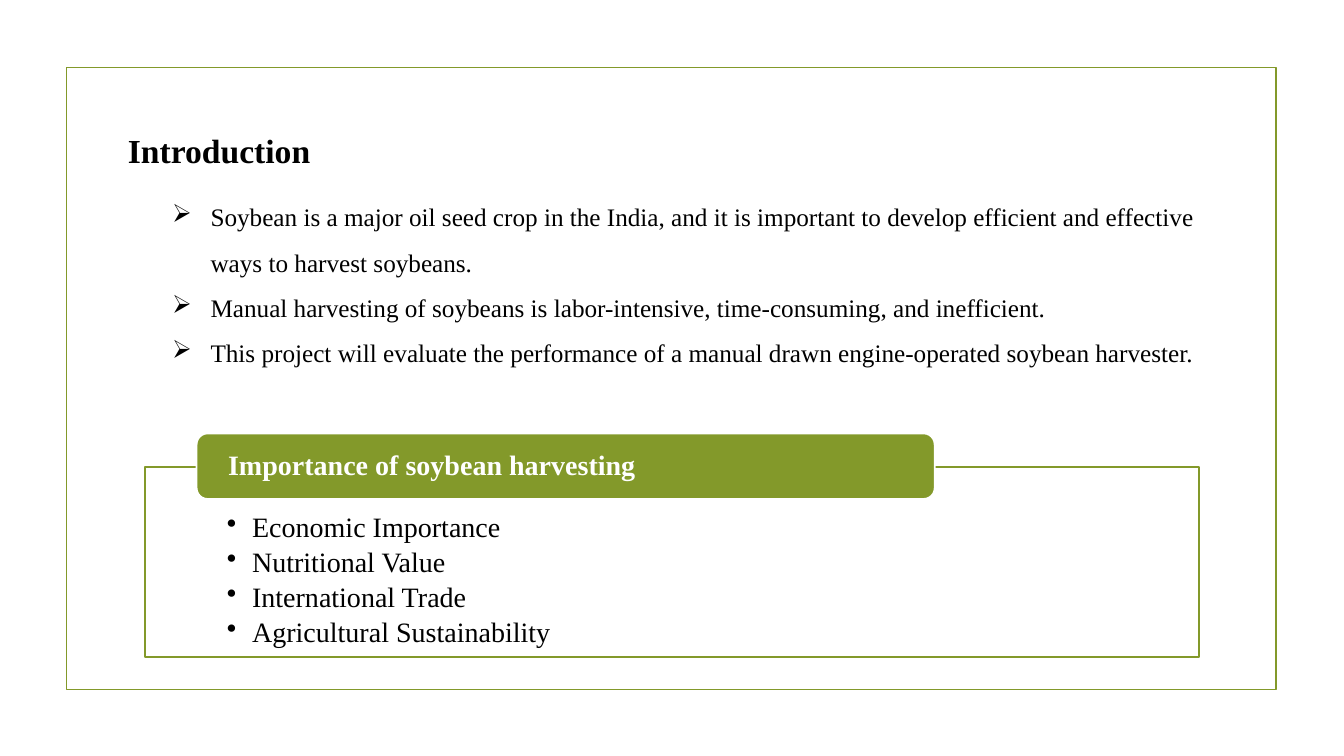
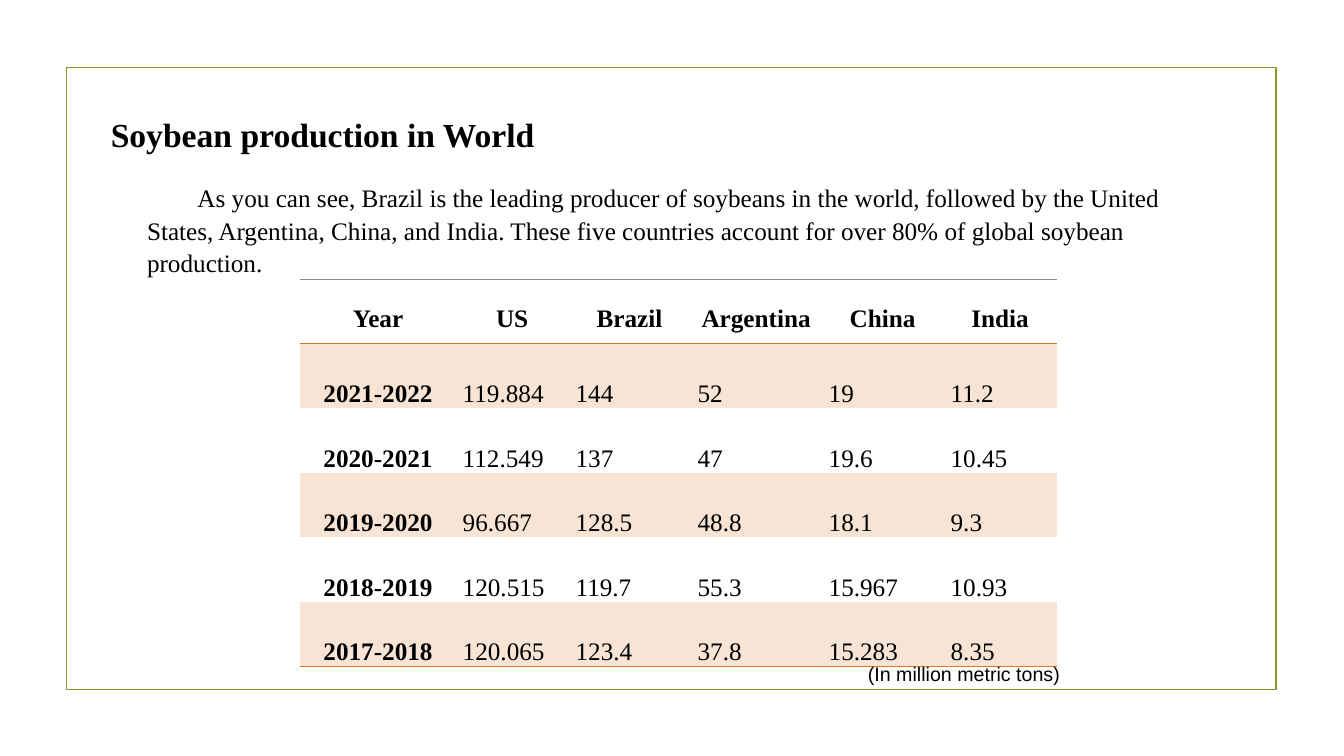
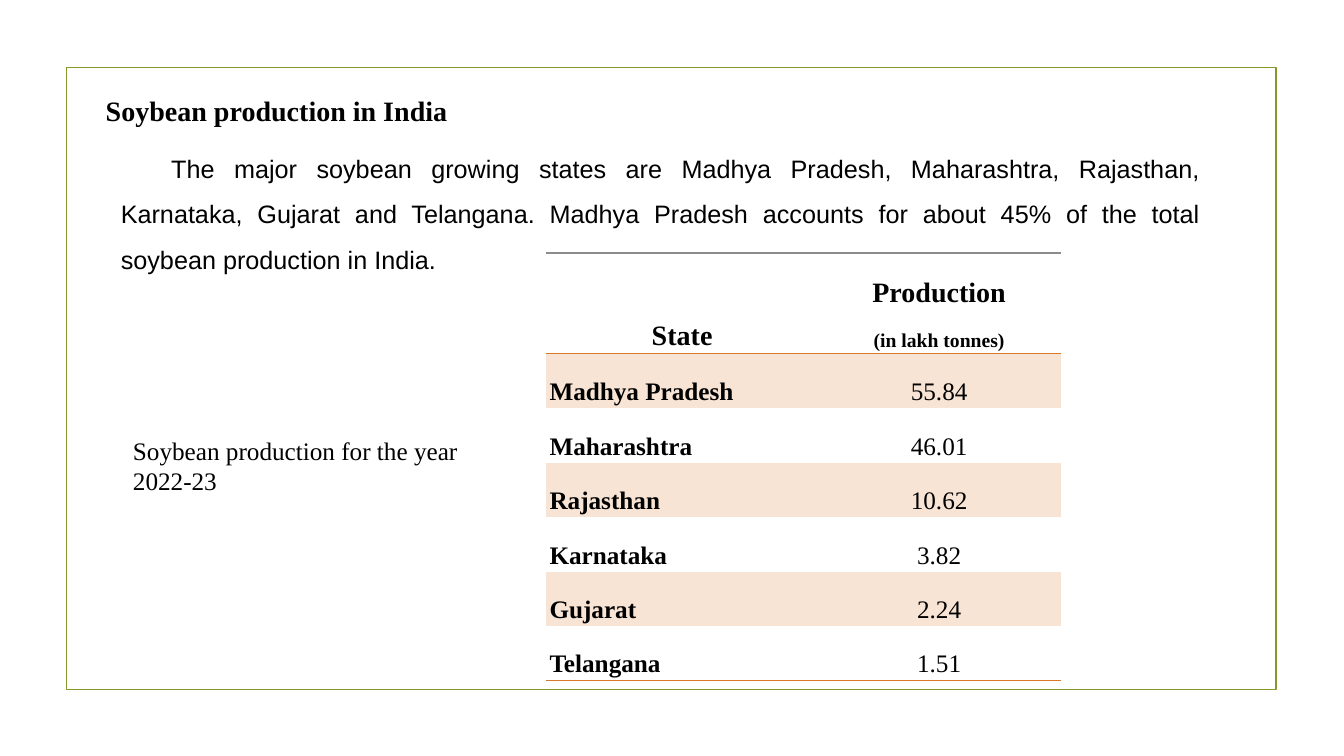
import pptx
import pptx.util
import pptx.dml.color
import pptx.enum.shapes
import pptx.enum.text
import pptx.oxml
import pptx.oxml.ns

RGBColor = pptx.dml.color.RGBColor
Pt = pptx.util.Pt
ALIGN = pptx.enum.text.PP_ALIGN
ANCHOR = pptx.enum.text.MSO_ANCHOR
SHAPE = pptx.enum.shapes.MSO_SHAPE

# Shared look
GREEN = RGBColor(0x83, 0x99, 0x2A)
WHITE = RGBColor(0xFF, 0xFF, 0xFF)
BLACK = RGBColor(0x00, 0x00, 0x00)
ORANGE = RGBColor(0xD9, 0x78, 0x28)
PEACH = RGBColor(0xF7, 0xE4, 0xD4)
GREY = RGBColor(0x8C, 0x8C, 0x8C)
SERIF = "Times New Roman"
SANS = "Arial"
PLAIN_TABLE = "{2D5ABB26-0587-4C30-8999-92F81FD0307C}"
DRAWING = pptx.oxml.ns.nsdecls("a")

INTRO_POINTS = [
    "Soybean is a major oil seed crop in the India, and it is important to develop "
    "efficient and effective ways to harvest soybeans.",
    "Manual harvesting of soybeans is labor-intensive, time-consuming, and inefficient.",
    "This project will evaluate the performance of a manual drawn engine-operated "
    "soybean harvester.",
]
IMPORTANCE = [
    "Economic Importance",
    "Nutritional Value",
    "International Trade",
    "Agricultural Sustainability",
]
WORLD_NOTE = (
    "As you can see, Brazil is the leading producer of soybeans in the world, followed by "
    "the United States, Argentina, China, and India. These five countries account for over "
    "80% of global soybean production."
)
WORLD_ROWS = [
    ["Year", "US", "Brazil", "Argentina", "China", "India"],
    ["2021-2022", "119.884", "144", "52", "19", "11.2"],
    ["2020-2021", "112.549", "137", "47", "19.6", "10.45"],
    ["2019-2020", "96.667", "128.5", "48.8", "18.1", "9.3"],
    ["2018-2019", "120.515", "119.7", "55.3", "15.967", "10.93"],
    ["2017-2018", "120.065", "123.4", "37.8", "15.283", "8.35"],
]
INDIA_NOTE = (
    "The major soybean growing states are Madhya Pradesh, Maharashtra, Rajasthan, "
    "Karnataka, Gujarat and Telangana. Madhya Pradesh accounts for about 45% of the total "
    "soybean production in India."
)
INDIA_ROWS = [
    ["State", "Production\n(in lakh tonnes)"],
    ["Madhya Pradesh", "55.84"],
    ["Maharashtra", "46.01"],
    ["Rajasthan", "10.62"],
    ["Karnataka", "3.82"],
    ["Gujarat", "2.24"],
    ["Telangana", "1.51"],
]


def px(length):
    """Convert px, 100 to the inch, into EMU."""
    return pptx.util.Emu(length * 9144)


def apply(target, values):
    for name, value in values.items():
        setattr(target, name, value)


def write(paragraph, text, size, font=SERIF, color=BLACK, bold=False, bullet=None,
          margin=0, indent=0, **layout):
    """Fill one paragraph; layout holds alignment and spacing."""
    properties = paragraph._p.get_or_add_pPr()
    properties.set("marL", str(px(margin)))
    properties.set("indent", str(px(indent)))
    if bullet:
        properties.append(pptx.oxml.parse_xml(f'<a:buChar {DRAWING} char="{bullet}"/>'))
    apply(paragraph, layout)
    run = paragraph.add_run()
    run.text = text
    apply(run.font, {"name": font, "size": Pt(size), "bold": bold})
    run.font.color.rgb = color


def write_lines(frame, lines, size, **style):
    for number, line in enumerate(lines):
        paragraph = frame.add_paragraph() if number else frame.paragraphs[0]
        write(paragraph, line, size, **style)


def insets(left, top, right, bottom):
    sides = {"left": left, "top": top, "right": right, "bottom": bottom}
    return {f"margin_{side}": px(length) for side, length in sides.items()}


def add_text(slide, box, lines, size, wrap=True, **style):
    frame = slide.shapes.add_textbox(*map(px, box)).text_frame
    frame.word_wrap = wrap
    write_lines(frame, lines, size, **style)


def add_panel(slide, box, kind=SHAPE.RECTANGLE, fill=None, line=GREEN):
    """Draw an outlined shape and return its text frame."""
    panel = slide.shapes.add_shape(kind, *map(px, box))
    panel.shadow.inherit = False
    if fill is None:
        panel.fill.background()
    else:
        panel.fill.solid()
        panel.fill.fore_color.rgb = fill
    panel.line.color.rgb = line
    panel.line.width = Pt(1.25)
    return panel.text_frame


def add_slide(deck, title, left, top, size=24):
    """Start a slide with the green frame and its title."""
    slide = deck.slides.add_slide(deck.slide_layouts[6])
    add_panel(slide, (66, 67, 1200, 617))
    add_text(slide, (left, top, 445, 50), [title], size, wrap=False, bold=True)
    return slide


def add_border(cell, side, color):
    cell._tc.get_or_add_tcPr().append(pptx.oxml.parse_xml(
        f'<a:ln{side} {DRAWING} w="12700"><a:solidFill><a:srgbClr val="{color}"/>'
        f'</a:solidFill></a:ln{side}>'))


def add_banded_table(slide, left, top, rows, widths, heights, margins, aligns,
                     head_size, head_anchor):
    """Table with a ruled header, peach bands on odd rows and bold first column."""
    table = slide.shapes.add_table(len(rows), len(widths), px(left), px(top),
                                   px(sum(widths)), px(sum(heights))).table
    table._tbl.tblPr.find(pptx.oxml.ns.qn("a:tableStyleId")).text = PLAIN_TABLE
    for column, width in zip(table.columns, widths):
        column.width = px(width)
    for row, height in zip(table.rows, heights):
        row.height = px(height)
    for r, values in enumerate(rows):
        head = r == 0
        for c, value in enumerate(values):
            cell = table.cell(r, c)
            apply(cell, insets(*margins))
            cell.vertical_anchor = head_anchor if head else ANCHOR.BOTTOM
            if head:
                add_border(cell, "T", GREY)
            if head or r == len(rows) - 1:
                add_border(cell, "B", ORANGE)
            if r % 2:
                cell.fill.solid()
                cell.fill.fore_color.rgb = PEACH
            else:
                cell.fill.background()
            write_lines(cell.text_frame, value.split("\n"), head_size if head else 18,
                        bold=head or c == 0, line_spacing=1.5, space_after=Pt(8),
                        alignment=ALIGN.CENTER if head else aligns[c])
    return table


def build_introduction(deck):
    slide = add_slide(deck, "Introduction", 117, 124)
    # Importance panel with its heading band
    body = add_panel(slide, (144, 463, 1045, 189), fill=WHITE)
    apply(body, {"vertical_anchor": ANCHOR.TOP, "word_wrap": True, **insets(81, 46, 81, 16)})
    write_lines(body, IMPORTANCE, 20, bullet="•", margin=25, indent=-25,
                alignment=ALIGN.LEFT, line_spacing=0.9, space_after=Pt(3.5))
    band = add_panel(slide, (195, 430, 732, 65), SHAPE.ROUNDED_RECTANGLE, GREEN, WHITE)
    apply(band, {"vertical_anchor": ANCHOR.MIDDLE, "word_wrap": True, **insets(28, 0, 28, 0)})
    write_lines(band, ["Importance of soybean harvesting"], 20, color=WHITE, bold=True,
                alignment=ALIGN.LEFT, line_spacing=0.9)
    # Opening points
    add_text(slide, (161, 180, 1045, 186), INTRO_POINTS, 18, bullet="➢", margin=38,
             indent=-38, line_spacing=1.5)


def build_world(deck):
    slide = add_slide(deck, "Soybean production in World", 100, 108)
    add_banded_table(slide, 298, 277, WORLD_ROWS, [154, 112, 121, 130, 121, 112],
                     [64] * len(WORLD_ROWS), (7, 0, 7, 0),
                     [ALIGN.CENTER] + [ALIGN.JUSTIFY] * 5, 18, ANCHOR.MIDDLE)
    add_text(slide, (136, 174, 1051, 149), [WORLD_NOTE], 18, indent=50, line_spacing=1.07)
    add_text(slide, (851, 652, 267, 57), ["(In million metric tons)"], 14, font=SANS)


def build_india(deck):
    slide = add_slide(deck, "Soybean production in India", 95, 88, size=20)
    add_text(slide, (110, 132, 1090, 141), [INDIA_NOTE], 18, font=SANS, indent=50,
             alignment=ALIGN.JUSTIFY, line_spacing=1.5)
    table = add_banded_table(slide, 542, 251, INDIA_ROWS, [269, 241],
                             [100] + [54] * (len(INDIA_ROWS) - 1), (3, 2, 3, 2),
                             [ALIGN.JUSTIFY, ALIGN.CENTER], 20, ANCHOR.BOTTOM)
    # Smaller unit line under the production heading
    table.cell(0, 1).text_frame.paragraphs[1].runs[0].font.size = Pt(14)
    add_text(slide, (122, 427, 375, 101), ["Soybean production for the year 2022-23"], 18)


def main():
    deck = pptx.Presentation()
    apply(deck, {"slide_width": px(1333), "slide_height": px(750)})
    build_introduction(deck)
    build_world(deck)
    build_india(deck)
    deck.save("out.pptx")


if __name__ == "__main__":
    main()
